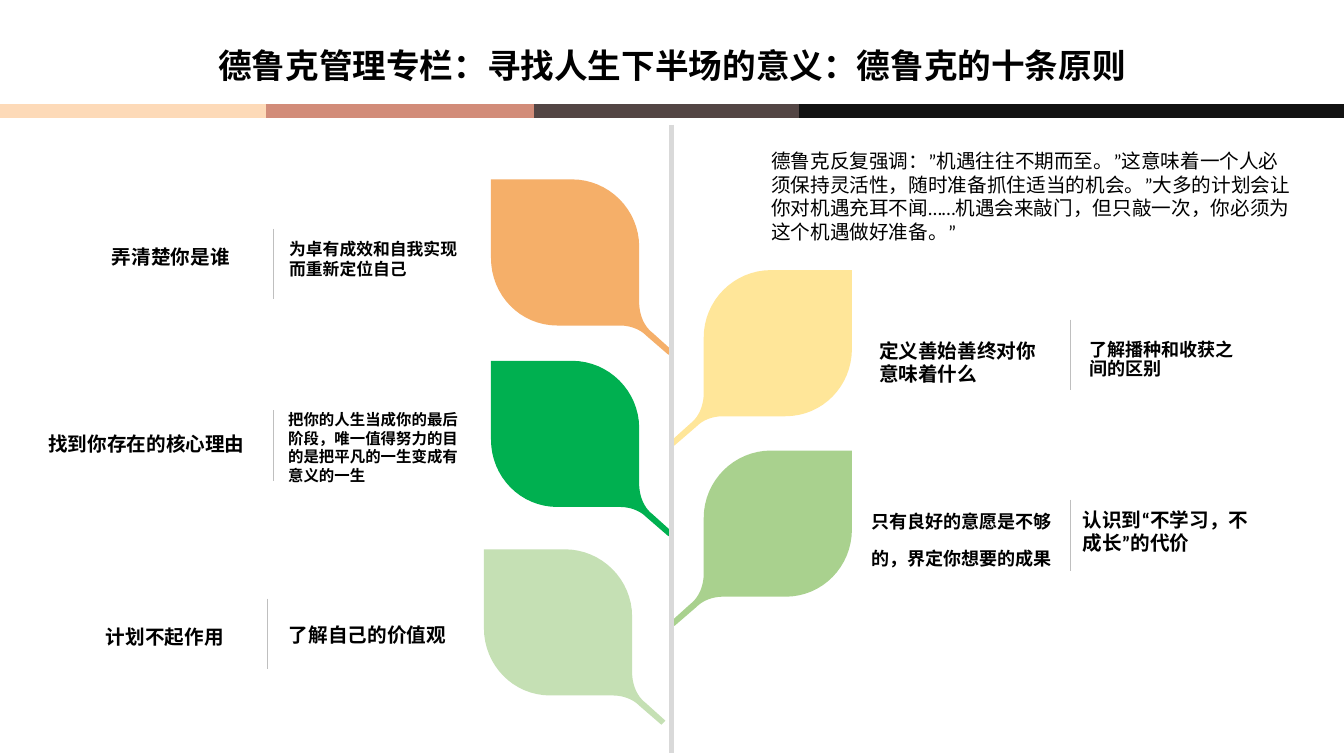
from lxml import etree
from pptx import Presentation
from pptx.dml.color import RGBColor
from pptx.enum.shapes import MSO_CONNECTOR
from pptx.enum.text import MSO_ANCHOR, PP_ALIGN
from pptx.oxml.ns import qn
from pptx.util import Inches, Pt

STRAIGHT = MSO_CONNECTOR.STRAIGHT
TOP, MIDDLE = MSO_ANCHOR.TOP, MSO_ANCHOR.MIDDLE
LEFT, CENTER = PP_ALIGN.LEFT, PP_ALIGN.CENTER
FONT = "Calibri"
TITLE = "德鲁克管理专栏：寻找人生下半场的意义：德鲁克的十条原则"
QUOTE = ("德鲁克反复强调：”机遇往往不期而至。”这意味着一个人必须保持灵活性，"
         "随时准备抓住适当的机会。”大多的计划会让你对机遇充耳不闻……"
         "机遇会来敲门，但只敲一次，你必须为这个机遇做好准备。”")

# Header band: start, end, colour
BAND = [(0, 2.64, "FDDAB8"), (2.64, 5.3, "D28C79"),
        (5.3, 7.92, "534544"), (7.92, 13.33, "121212")]

# Leaves: left, top, colour, mirrored
LEAVES = [(4.87, 1.78, "F5AF69", False), (6.65, 2.68, "FFE699", True),
          (6.65, 4.47, "A9D18E", True), (4.87, 3.58, "00B050", False),
          (4.8, 5.45, "C5E0B4", False)]
LEAF_WIDTH = 1.8

# Leaf outline from its top left corner: a point, or a curve of three points
LEAF_OUTLINE = [
    [(0, 0.78)], [(0, 1.15), (0.29, 1.45), (0.66, 1.45)],
    [(1.28, 1.45)], [(1.37, 1.45), (1.47, 1.48), (1.54, 1.55)],
    [(1.76, 1.74)], [(1.8, 1.7)],
    [(1.6, 1.52)], [(1.51, 1.45), (1.47, 1.33), (1.47, 1.22)],
    [(1.47, 0.67)], [(1.47, 0.3), (1.17, 0), (0.8, 0)],
]

# Thin dividers: x, top
DIVIDERS = [(2.71, 2.27), (2.71, 4.07), (2.65, 5.94), (10.61, 3.17), (10.61, 4.96)]
DIVIDER_HEIGHT = 0.7

# Labels: text, left, top, width, height, size, alignment, line spacing
LABELS = [
    ("弄清楚你是谁", 0.73, 2.34, 1.93, 0.41, 14, CENTER, 1),
    ("为卓有成效和自我实现而重新定位自己", 2.77, 2.22, 1.93, 0.7, 12, LEFT, 1),
    ("找到你存在的核心理由", 0.38, 4.05, 2.31, 0.7, 14, LEFT, 1),
    ("把你的人生当成你的最后阶段，唯一值得努力的目的是把平凡的一生变成有意义的一生",
     2.76, 3.83, 1.93, 1.22, 11, LEFT, 1),
    ("计划不起作用", 0.67, 6.11, 1.93, 0.41, 14, CENTER, 1),
    ("了解自己的价值观", 2.68, 6.09, 1.93, 0.41, 14, CENTER, 1),
    ("定义善始善终对你意味着什么", 8.62, 3.31, 1.93, 0.57, 14, LEFT, 1),
    ("了解播种和收获之间的区别", 10.71, 3.31, 1.79, 0.53, 12.9, LEFT, 0.9),
    ("只有良好的意愿是不够的，界定你想要的成果",
     8.55, 4.71, 2.07, 1.14, 12.9, LEFT, 1.7),
    ("认识到“不学习，不成长”的代价", 10.64, 4.79, 1.93, 0.96, 14, LEFT, 1),
]


def color(value):
    return RGBColor.from_string(value)


def write_text(shape, text, size, bold=True, align=LEFT, spacing=1, anchor=MIDDLE):
    frame = shape.text_frame
    frame.text = text
    frame.word_wrap = True
    frame.vertical_anchor = anchor
    paragraph = frame.paragraphs[0]
    paragraph.alignment = align
    paragraph.line_spacing = spacing
    for run in paragraph.runs:
        run.font.size = Pt(size)
        run.font.bold = bold
        run.font.name = FONT
        run.font.color.rgb = color("000000")
        east_asian = etree.SubElement(run.font._element, qn("a:ea"))
        east_asian.set("typeface", FONT)


def add_title(slide):
    title = slide.shapes.title
    title.left, title.top = Inches(0), Inches(0.43)
    title.width, title.height = Inches(13.33), Inches(0.48)
    write_text(title, TITLE, 24, align=CENTER, spacing=0.9)


def add_text(slide, text, left, top, width, height, size, **style):
    box = slide.shapes.add_textbox(Inches(left), Inches(top), Inches(width), Inches(height))
    write_text(box, text, size, **style)


def add_line(slide, x1, y1, x2, y2, line_color, weight):
    line = slide.shapes.add_connector(
        STRAIGHT, Inches(x1), Inches(y1), Inches(x2), Inches(y2))
    line.line.color.rgb = color(line_color)
    line.line.width = Pt(weight)
    etree.SubElement(line._element.spPr, qn("a:effectLst"))


def curve_points(start, control1, control2, end, steps=16):
    points = []
    for step in range(1, steps + 1):
        t = step / steps
        weights = ((1 - t) ** 3, 3 * t * (1 - t) ** 2, 3 * t * t * (1 - t), t ** 3)
        corners = (start, control1, control2, end)
        points.append(tuple(sum(w * corner[axis] for w, corner in zip(weights, corners))
                            for axis in (0, 1)))
    return points


def leaf_points():
    points = [(0, 0)]
    for part in LEAF_OUTLINE:
        points += part if len(part) == 1 else curve_points(points[-1], *part)
    return points


def add_leaf(slide, left, top, fill, mirrored):
    points = [(Inches(left + (LEAF_WIDTH - x if mirrored else x)), Inches(top + y))
              for x, y in leaf_points()]
    builder = slide.shapes.build_freeform(*points[0])
    builder.add_line_segments(points[1:], close=True)
    leaf = builder.convert_to_shape()
    leaf.shadow.inherit = False
    leaf.fill.solid()
    leaf.fill.fore_color.rgb = color(fill)
    leaf.line.fill.background()


def main():
    presentation = Presentation()
    presentation.slide_width, presentation.slide_height = Inches(13.33), Inches(7.5)
    slide = presentation.slides.add_slide(presentation.slide_layouts[5])

    # Header
    for start, end, band_color in BAND:
        add_line(slide, start, 1.1, end, 1.1, band_color, 10)
    add_title(slide)

    # Plant: leaves and stem
    for leaf in LEAVES:
        add_leaf(slide, *leaf)
    add_line(slide, 6.66, 1.24, 6.66, 7.47, "D9D9D9", 3)

    # Principles
    for x, top in DIVIDERS:
        add_line(slide, x, top, x, top + DIVIDER_HEIGHT, "BFBFBF", 0.25)
    for text, left, top, width, height, size, align, spacing in LABELS:
        add_text(slide, text, left, top, width, height, size, align=align, spacing=spacing)

    # Quotation
    add_text(slide, QUOTE, 7.55, 1.43, 5.35, 1.04, 14, bold=False, anchor=TOP)

    presentation.save("out.pptx")


if __name__ == "__main__":
    main()
